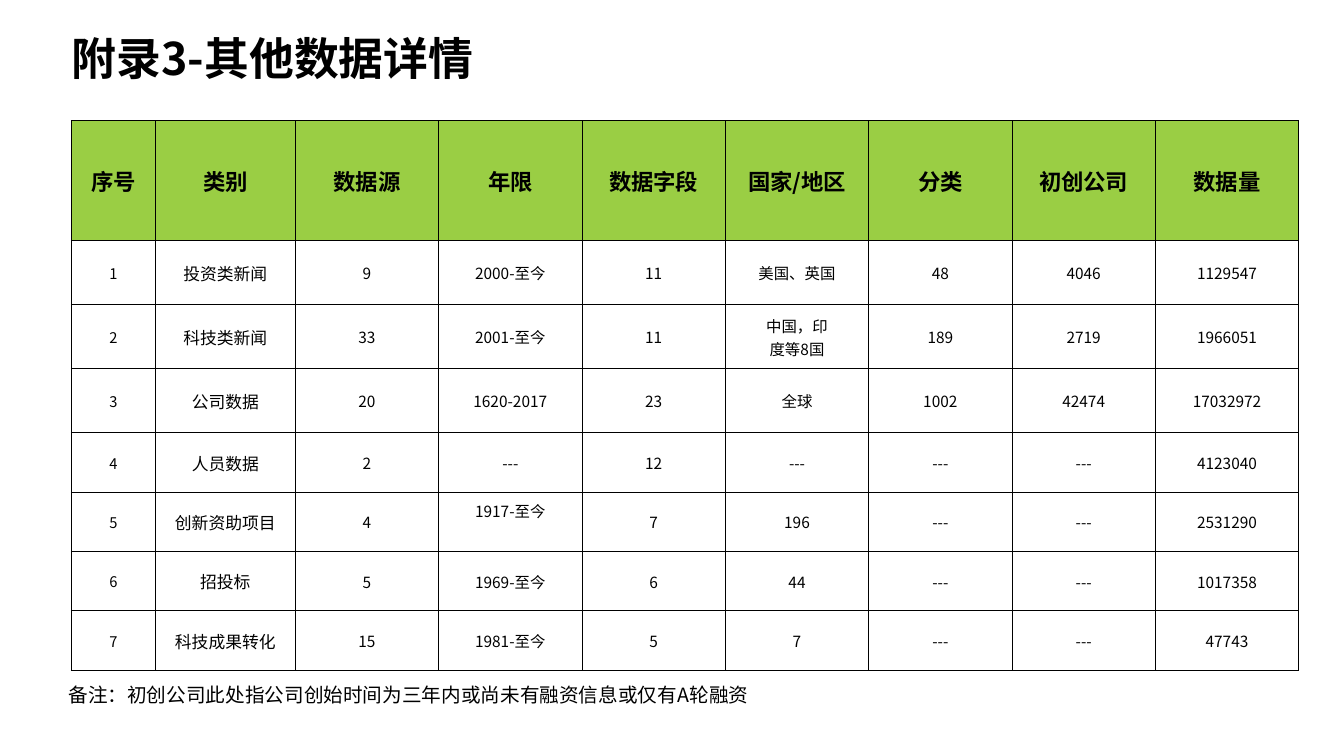
from lxml.etree import SubElement as Sub
from pptx import Presentation
from pptx.dml.color import RGBColor as Rgb
from pptx.enum.text import MSO_ANCHOR as Anchor, PP_ALIGN as Align
from pptx.oxml.ns import qn
from pptx.util import Pt

COLORS = {"ink": "000000", "head": "9ACE44"}
FONT = "Noto Sans CJK SC"

HEADS = ["序号", "类别", "数据源", "年限", "数据字段", "国家/地区",
         "分类", "初创公司", "数据量"]
ROWS = [
    ["1", "投资类新闻", "9", "2000-至今", "11", "美国、英国", "48", "4046", "1129547"],
    ["2", "科技类新闻", "33", "2001-至今", "11", "中国，印\n度等8国", "189", "2719", "1966051"],
    ["3", "公司数据", "20", "1620-2017", "23", "全球", "1002", "42474", "17032972"],
    ["4", "人员数据", "2", "---", "12", "---", "---", "---", "4123040"],
    ["5", "创新资助项目", "4", "1917-至今", "7", "196", "---", "---", "2531290"],
    ["6", "招投标", "5", "1969-至今", "6", "44", "---", "---", "1017358"],
    ["7", "科技成果转化", "15", "1981-至今", "5", "7", "---", "---", "47743"],
]
WIDTHS = [60, 100] + [102.4] * 7
HEIGHTS = [85.7] + [45.7] * 3 + [42.4] * 4
SIZES = [10.5, 12] + [11] * 7
RAISED = (5, 3)  # this cell's text sits above the middle


class Deck:
    def __init__(self):
        self.prs = Presentation()
        self.prs.slide_width, self.prs.slide_height = Pt(960), Pt(540)
        self.slide = self.prs.slides.add_slide(self.prs.slide_layouts[6])

    def runs(self, frame, text, size, bold=False, align=Align.LEFT):
        for i, line in enumerate(text.split("\n")):
            para = frame.add_paragraph() if i else frame.paragraphs[0]
            para.alignment = align
            run = para.add_run()
            run.text = line
            font = run.font
            font.size, font.bold, font.name = Pt(size), bold, FONT
            font.color.rgb = Rgb.from_string(COLORS["ink"])
            Sub(run._r.get_or_add_rPr(), qn("a:ea"), typeface=FONT)

    def text(self, box, text, size, top=0, **style):
        frame = self.slide.shapes.add_textbox(*map(Pt, box)).text_frame
        frame.word_wrap = True
        frame.margin_top, frame.margin_bottom = Pt(top), 0
        self.runs(frame, text, size, **style)

    def border(self, cell, row, col):
        props = cell._tc.get_or_add_tcPr()
        thick = {"L": col == 0, "T": row == 0}
        for side in "LRTB":
            width = Pt(1 if thick.get(side) else 0.5)
            line = Sub(props, qn(f"a:ln{side}"), w=str(int(width)))
            fill = Sub(line, qn("a:solidFill"))
            Sub(fill, qn("a:srgbClr"), val=COLORS["ink"])

    def cell(self, cell, row, col, text):
        head = row == 0
        cell.vertical_anchor = Anchor.MIDDLE
        cell.margin_left = cell.margin_right = cell.margin_top = Pt(0.72)
        cell.margin_bottom = Pt(16.5 if (row, col) == RAISED else 0)
        self.border(cell, row, col)
        if head:
            cell.fill.solid()
            cell.fill.fore_color.rgb = Rgb.from_string(COLORS["head"])
        else:
            cell.fill.background()
        self.runs(cell.text_frame, text, 16 if head else SIZES[col],
                  head, Align.CENTER)

    def table(self, left, top, data):
        box = (left, top, sum(WIDTHS), sum(HEIGHTS))
        grid = self.slide.shapes.add_table(
            len(data), len(WIDTHS), *map(Pt, box)).table
        grid.horz_banding = False
        for col, width in zip(grid.columns, WIDTHS):
            col.width = Pt(width)
        for row, height in zip(grid.rows, HEIGHTS):
            row.height = Pt(height)
        for r, line in enumerate(data):
            for c, text in enumerate(line):
                self.cell(grid.cell(r, c), r, c, text)


def main():
    deck = Deck()
    # Data table
    deck.table(51, 86.2, [HEADS] + ROWS)
    # Footnote
    deck.text((41.8, 486.7, 666, 53),
              "备注：初创公司此处指公司创始时间为三年内或尚未有融资信息或仅有A轮融资",
              14, top=1)
    # Title
    deck.text((0, 22, 389.5, 46), "附录3-其他数据详情", 32,
              bold=True, align=Align.CENTER)
    deck.prs.save("out.pptx")


if __name__ == "__main__":
    main()
